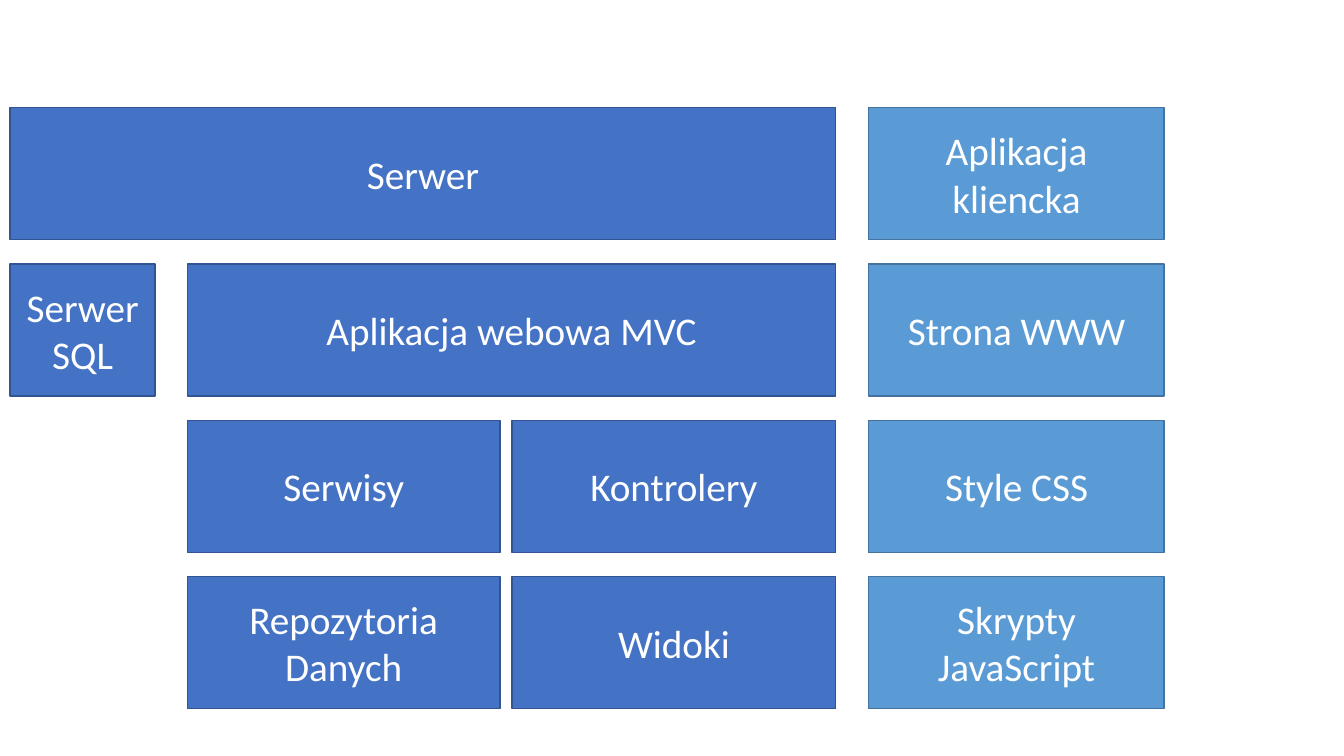
from dataclasses import dataclass

from pptx import Presentation
from pptx.dml.color import RGBColor as Rgb
from pptx.enum.shapes import MSO_SHAPE as Shape
from pptx.enum.text import MSO_ANCHOR as Anchor, PP_ALIGN as Align
from pptx.util import Pt


@dataclass(frozen=True)
class Theme:
    font: str = "Calibri"
    size: float = 28
    ink: str = "FFFFFF"
    server: tuple = ("4472C4", "325491")
    client: tuple = ("5B9BD5", "43739E")
    edge: float = 1


class Board:
    def __init__(self, slide, theme):
        self.slide = slide
        self.theme = theme

    def box(self, text, left, top, width, height, tint):
        """Draw a captioned box; tint is a (fill, line) pair."""
        box = self.slide.shapes.add_shape(
            Shape.RECTANGLE, Pt(left), Pt(top), Pt(width), Pt(height))
        box.shadow.inherit = False
        fill, line = tint
        box.fill.solid()
        box.fill.fore_color.rgb = Rgb.from_string(fill)
        box.line.color.rgb = Rgb.from_string(line)
        box.line.width = Pt(self.theme.edge)

        frame = box.text_frame
        frame.text = text
        frame.word_wrap = True
        frame.vertical_anchor = Anchor.MIDDLE
        para = frame.paragraphs[0]
        para.alignment = Align.CENTER
        font = para.runs[0].font
        font.name = self.theme.font
        font.size = Pt(self.theme.size)
        font.color.rgb = Rgb.from_string(self.theme.ink)


# Left and right edge of each column
COLS = [(7.2, 110.9), (133.9, 357.1), (365.8, 596.9), (620.6, 831.6)]
TOP, STEP, HIGH = 77, 111.6, 94.3

# Each row: caption, first column, last column
ROWS = [
    [("Serwer", 0, 2), ("Aplikacja kliencka", 3, 3)],
    [("Serwer SQL", 0, 0), ("Aplikacja webowa MVC", 1, 2), ("Strona WWW", 3, 3)],
    [("Serwisy", 1, 1), ("Kontrolery", 2, 2), ("Style CSS", 3, 3)],
    [("Repozytoria Danych", 1, 1), ("Widoki", 2, 2), ("Skrypty JavaScript", 3, 3)],
]


def main():
    deck = Presentation()
    deck.slide_width, deck.slide_height = Pt(960), Pt(540)
    theme = Theme()
    board = Board(deck.slides.add_slide(deck.slide_layouts[6]), theme)
    for row, cells in enumerate(ROWS):
        for text, first, last in cells:
            left, right = COLS[first][0], COLS[last][1]
            tint = theme.client if first == 3 else theme.server
            board.box(text, left, TOP + row * STEP, right - left, HIGH, tint)
    deck.save("out.pptx")


if __name__ == "__main__":
    main()
